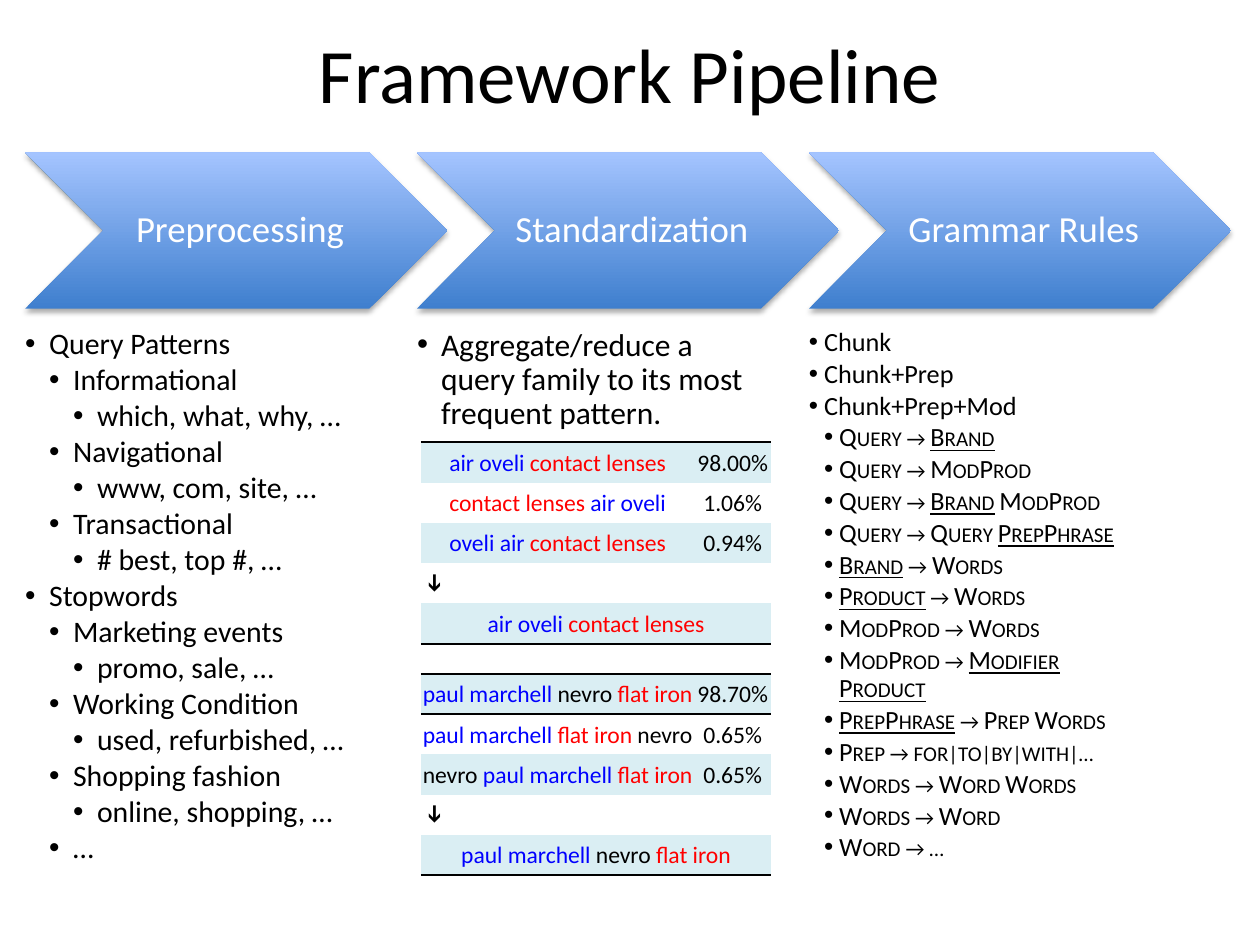
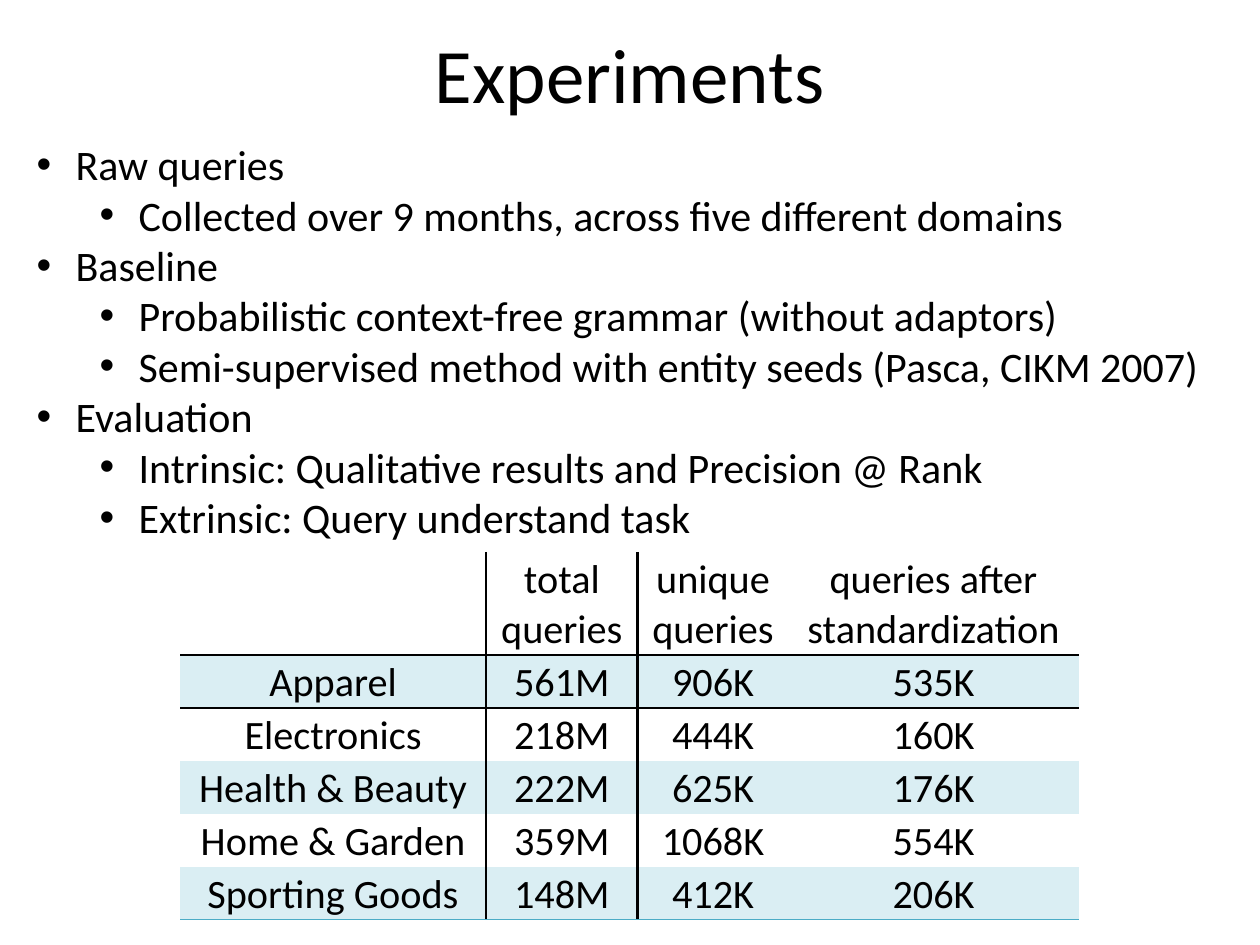
from lxml import etree
from pptx import Presentation
from pptx.dml.color import RGBColor
from pptx.enum.shapes import MSO_SHAPE
from pptx.enum.text import MSO_ANCHOR, MSO_AUTO_SIZE, PP_ALIGN
from pptx.oxml.ns import qn
from pptx.util import Inches, Pt

CHEVRON = MSO_SHAPE.CHEVRON
MIDDLE, TOP = MSO_ANCHOR.MIDDLE, MSO_ANCHOR.TOP
CENTER, LEFT = PP_ALIGN.CENTER, PP_ALIGN.LEFT
FIXED = MSO_AUTO_SIZE.NONE

FONT = "Calibri"
PLAIN = "{2D5ABB26-0587-4C30-8999-92F81FD0307C}"
HUES = {
    "text": "000000", "light": "FFFFFF", "deep": "3F7FCE", "pale": "A4C4FF",
    "band": "DAEEF3", "edge": "4BACC6", "brand": "0000FF", "item": "FF0000",
}
RULE = ("text", 1.5)

STEPS = ["Preprocessing", "Standardization", "Grammar Rules"]
PATTERNS = [
    (0, "Query Patterns"),
    (1, "Informational"), (2, "which, what, why, …"),
    (1, "Navigational"), (2, "www, com, site, …"),
    (1, "Transactional"), (2, "# best, top #, …"),
    (0, "Stopwords"),
    (1, "Marketing events"), (2, "promo, sale, …"),
    (1, "Working Condition"), (2, "used, refurbished, …"),
    (1, "Shopping fashion"), (2, "online, shopping, …"),
    (1, "…"),
]
GOAL = [(0, "Aggregate/reduce a query family to its most frequent pattern.")]
CHUNKS = ["Chunk", "Chunk+Prep", "Chunk+Prep+Mod"]
# Underscores enclose the underlined symbols.
RULES = [
    "Query → _Brand_", "Query → ModProd", "Query → _Brand_ ModProd",
    "Query → Query _PrepPhrase_", "_Brand_ → Words", "_Product_ → Words",
    "ModProd → Words", "ModProd → _Modifier_ _Product_",
    "_PrepPhrase_ → Prep Words", "Prep → for|to|by|with|…",
    "Words → Word Words", "Words → Word", "Word → …",
]
GRAMMAR = [(0, t) for t in CHUNKS] + [(1, t) for t in RULES]

LENS = ("contact lenses", "item")
EYE = ("air oveli", "brand")
HAIR = ("paul marchell", "brand")
LINE = ("nevro", "text")
IRON = ("flat iron", "item")
FAMILIES = [
    [([EYE, LENS], "98.00%"), ([LENS, EYE], "1.06%"),
     ([("oveli air", "brand"), LENS], "0.94%")],
    [([HAIR, LINE, IRON], "98.70%"), ([HAIR, IRON, LINE], "0.65%"),
     ([LINE, HAIR, IRON], "0.65%")],
]

POINTS = [
    (0, "Raw queries"),
    (1, "Collected over 9 months, across five different domains"),
    (0, "Baseline"),
    (1, "Probabilistic context-free grammar (without adaptors)"),
    (1, "Semi-supervised method with entity seeds (Pasca, CIKM 2007)"),
    (0, "Evaluation"),
    (1, "Intrinsic: Qualitative results and Precision @ Rank"),
    (1, "Extrinsic: Query understand task"),
]
COUNTS = [
    ["", "total queries", "unique queries", "queries after standardization"],
    ["Apparel", "561M", "906K", "535K"],
    ["Electronics", "218M", "444K", "160K"],
    ["Health & Beauty", "222M", "625K", "176K"],
    ["Home & Garden", "359M", "1068K", "554K"],
    ["Sporting Goods", "148M", "412K", "206K"],
]


def hue(name):
    return RGBColor.from_string(HUES[name])


def style(run, size, color="text"):
    font = run.font
    font.name, font.size, font.bold = FONT, Pt(size), False
    font.color.rgb = hue(color)


def place(shape, box):
    shape.left, shape.top, shape.width, shape.height = map(Inches, box)


def add_title(slide, text):
    title = slide.shapes.title
    place(title, (0.5, 0.13, 9, 0.89))
    frame = title.text_frame
    frame.text = text
    frame.auto_size, frame.vertical_anchor = FIXED, MIDDLE
    frame.paragraphs[0].alignment = CENTER
    style(frame.paragraphs[0].runs[0], 44)


def add_bullet(par, level, hang, step):
    props = par._p.get_or_add_pPr()
    props.set("marL", str(Inches(hang + level * step)))
    props.set("indent", str(-Inches(hang)))
    etree.SubElement(props, qn("a:buFont"), typeface="Arial")
    etree.SubElement(props, qn("a:buChar"), char="•")


def fill_list(holder, box, items, size, hang, step, inset=(0, 0),
              lead=0.9, gap=0.13, caps=False):
    """Fill a body placeholder; caps sets the lower levels in small capitals."""
    place(holder, box)
    frame = holder.text_frame
    frame.word_wrap, frame.auto_size = True, FIXED
    frame.vertical_anchor = TOP
    frame.margin_left = frame.margin_right = Inches(inset[0])
    frame.margin_top = frame.margin_bottom = Inches(inset[1])
    frame.text = "\n".join(text for _, text in items)
    for par, (level, text) in zip(frame.paragraphs, items):
        par.level, par.alignment = level, LEFT
        par.line_spacing = lead
        par.space_before, par.space_after = Pt(0), Pt(size * gap)
        add_bullet(par, level, hang, step)
        if caps and level:
            par.text = ""
            for i, part in enumerate(text.split("_")):
                if part:
                    run = par.add_run()
                    run.text, run.font.underline = part, i % 2 == 1
                    run.font._element.set("cap", "small")
        for run in par.runs:
            style(run, size)


def add_step(slide, box, text):
    shape = slide.shapes.add_shape(CHEVRON, *map(Inches, box))
    shape.fill.gradient()
    shape.fill.gradient_angle = 90
    for stop, name in zip(shape.fill.gradient_stops, ("deep", "pale")):
        stop.color.rgb = hue(name)
    shape.line.fill.background()
    shape.shadow.inherit = False
    effects = shape.element.spPr.find(qn("a:effectLst"))
    glow = etree.SubElement(
        effects, qn("a:outerShdw"), blurRad=str(Pt(3.1)), dist=str(Pt(1.8)),
        dir="5400000", rotWithShape="0")
    tone = etree.SubElement(glow, qn("a:srgbClr"), val=HUES["text"])
    etree.SubElement(tone, qn("a:alpha"), val="35000")
    frame = shape.text_frame
    frame.text = text
    frame.word_wrap, frame.vertical_anchor = True, MIDDLE
    frame.margin_left = Inches(0.09)
    frame.margin_right = frame.margin_top = frame.margin_bottom = Inches(0.03)
    par = frame.paragraphs[0]
    par.alignment, par.line_spacing = CENTER, 0.9
    style(par.runs[0], 21, "light")


def add_grid(slide, left, top, cols, rows):
    frame = slide.shapes.add_table(
        len(rows), len(cols), Inches(left), Inches(top),
        Inches(sum(cols)), Inches(sum(rows)))
    next(frame.element.iter(qn("a:tableStyleId"))).text = PLAIN
    table = frame.table
    table.first_row = table.horz_banding = False
    for col, width in zip(table.columns, cols):
        col.width = Inches(width)
    for row, height in zip(table.rows, rows):
        row.height = Inches(height)
    return table


def set_cell(cell, parts, size, inset, band=False, edges=None):
    """Write (text, colour) parts; edges maps L, R, T, B to (colour, width)."""
    cell.vertical_anchor = MIDDLE
    cell.margin_left = cell.margin_right = cell.margin_top = Inches(inset)
    cell.margin_bottom = 0
    par = cell.text_frame.paragraphs[0]
    par.alignment = CENTER
    for i, (text, color) in enumerate(parts):
        run = par.add_run()
        run.text = text + (" " if i < len(parts) - 1 else "")
        style(run, size, color)
    if not parts:
        etree.SubElement(par._p, qn("a:endParaRPr"), sz="600")
    props = cell._tc.get_or_add_tcPr()
    for side in "LRTB":
        if edges and side in edges:
            color, width = edges[side]
            line = etree.SubElement(props, qn("a:ln" + side), w=str(Pt(width)))
            solid = etree.SubElement(line, qn("a:solidFill"))
            etree.SubElement(solid, qn("a:srgbClr"), val=HUES[color])
    if band:
        cell.fill.solid()
        cell.fill.fore_color.rgb = hue("band")
    else:
        cell.fill.background()


def add_family(table, top, family):
    """Fill five rows: three variants, an arrow, and the chosen pattern."""
    size, inset = 13.5, 0.01
    for i, (parts, share) in enumerate(family):
        edges = {"T": RULE} if i == 0 else {}
        for col, words in enumerate((parts, [(share, "text")])):
            set_cell(table.cell(top + i, col), words, size, inset,
                     i % 2 == 0, edges)
    arrow, best = [table.cell(top + i, 0) for i in (3, 4)]
    for cell in (arrow, best):
        cell.merge(table.cell(top + 3 + (cell is best), 1))
    set_cell(arrow, [("➔", "text")], size, inset)
    arrow._tc.get_or_add_tcPr().set("vert", "vert")
    set_cell(best, family[0][0], size, inset, True, {"B": RULE})


def add_families(slide, left, top):
    block = [0.32] * 5
    table = add_grid(slide, left, top, [2.17, 0.61], block + [0.24] + block)
    for i, family in enumerate(FAMILIES):
        add_family(table, i * 6, family)
    spacer = table.cell(5, 0)
    spacer.merge(table.cell(5, 1))
    set_cell(spacer, [], 6, 0, edges={"T": RULE, "B": RULE})


def add_counts(slide, left, top):
    table = add_grid(slide, left, top, [2.43, 1.2, 1.2, 2.3],
                     [0.82] + [0.42] * 5)
    last = len(COUNTS) - 1
    for r, row in enumerate(COUNTS):
        for c, text in enumerate(row):
            edges = {}
            if c < 2:
                edges["R" if c == 0 else "L"] = RULE
            if r < 2:
                edges["B" if r == 0 else "T"] = RULE
            if r == last:
                edges["B"] = ("edge", 0.5)
            parts = [(text, "text")] if text else []
            set_cell(table.cell(r, c), parts, 23, 0.02, r % 2 == 1, edges)


def add_pipeline(deck):
    slide = deck.slides.add_slide(deck.slide_layouts[4])
    add_title(slide, "Framework Pipeline")
    *bodies, spare = list(slide.placeholders)[1:]
    spare.element.getparent().remove(spare.element)
    lists = [(PATTERNS, 17, 0.19), (GOAL, 18, 0.19), (GRAMMAR, 15, 0.12)]
    for i, (items, size, hang) in enumerate(lists):
        left = 0.2 + i * 3.11
        add_step(slide, (left, 1.21, 3.35, 1.24), STEPS[i])
        fill_list(bodies[i], (left, 2.61, 2.68, 4.44), items, size,
                  hang, hang, caps=items is GRAMMAR)
    add_families(slide, 3.34, 3.51)


def add_experiments(deck):
    slide = deck.slides.add_slide(deck.slide_layouts[1])
    add_title(slide, "Experiments")
    fill_list(slide.placeholders[1], (0.19, 1.05, 9.59, 3.33), POINTS, 24,
              0.31, 0.5, inset=(0.1, 0.05), lead=1.0, gap=0)
    add_counts(slide, 1.43, 4.38)


def main():
    deck = Presentation()
    deck.slide_width, deck.slide_height = Inches(10), Inches(7.5)
    add_pipeline(deck)
    add_experiments(deck)
    deck.save("out.pptx")


if __name__ == "__main__":
    main()
